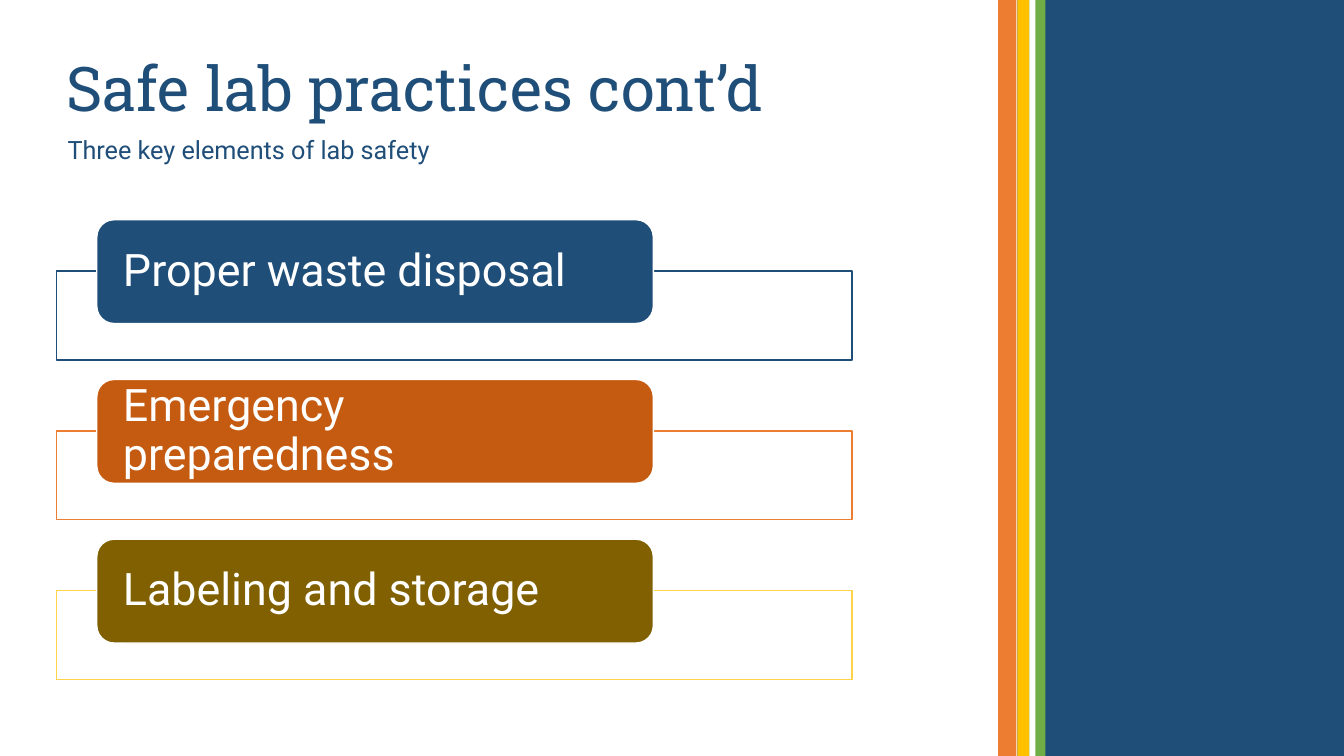
import pptx
import pptx.util
import pptx.dml.color
import pptx.enum.shapes
import pptx.enum.text

# Content
HEAD = "Safe lab practices cont’d"
SUB = "Three key elements of lab safety"
HEX = {
    "navy": "1F4E79", "orange": "ED7D31", "gold": "FFC000", "green": "70AD47",
    "white": "FFFFFF", "rust": "C55A11", "olive": "806000", "yellow": "FFD347",
}
ITEMS = [  # text, label fill, frame line
    ("Proper waste disposal", "navy", "navy"),
    ("Emergency preparedness", "rust", "orange"),
    ("Labeling and storage", "olive", "yellow"),
]
BANDS = [  # left, width, fill
    (10.09, 3.24, "navy"),
    (9.9, 0.18, "orange"),
    (10.09, 0.13, "gold"),
    (10.21, 0.16, "green"),
    (10.21, 0.06, "white"),
]

# Grid, in inches
WIDE, HIGH = 13.33, 7.5
LEFT, TOP, STEP = 0.56, 2.18, 1.585
FRAME = (7.89, 0.88)
LABEL = (5.52, 1.03)
SHIFT, DROP = 0.4, 0.51

KIND = pptx.enum.shapes.MSO_SHAPE
MID = pptx.enum.text.MSO_ANCHOR.MIDDLE
LOW = pptx.enum.text.MSO_ANCHOR.BOTTOM
inch = pptx.util.Inches


def tint(name):
    return pptx.dml.color.RGBColor.from_string(HEX[name])


def draw(kind, box, fill=None, line=None):
    shape = slide.shapes.add_shape(kind, *map(inch, box))
    shape.shadow.inherit = False
    if fill:
        shape.fill.solid()
        shape.fill.fore_color.rgb = tint(fill)
    else:
        shape.fill.background()
    if line:
        shape.line.color.rgb = tint(line)
        shape.line.width = pptx.util.Pt(1)
    else:
        shape.line.fill.background()
    return shape


def write(shape, text, font, size, color, anchor, pad, before=0):
    frame = shape.text_frame
    frame.word_wrap = True
    frame.auto_size = pptx.enum.text.MSO_AUTO_SIZE.NONE
    frame.vertical_anchor = anchor
    (frame.margin_left, frame.margin_top,
     frame.margin_right, frame.margin_bottom) = map(inch, pad)
    para = frame.paragraphs[0]
    para.alignment = pptx.enum.text.PP_ALIGN.LEFT
    para.line_spacing = 0.9
    para.space_before = pptx.util.Pt(before)
    run = para.add_run()
    run.text = text
    run.font.name = font
    run.font.size = pptx.util.Pt(size)
    run.font.bold = False
    run.font.color.rgb = tint(color)


def place(shape, box):
    shape.left, shape.top, shape.width, shape.height = map(inch, box)


deck = pptx.Presentation()
deck.slide_width, deck.slide_height = inch(WIDE), inch(HIGH)
slide = deck.slides.add_slide(deck.slide_layouts[4])

# Title and subtitle, dropping the unused placeholders
title, body, *spare = slide.placeholders
for holder in spare:
    holder.element.getparent().remove(holder.element)
place(title, (LEFT, 0.12, 8.95, 1.17))
write(title, HEAD, "Roboto Slab", 44, "navy", LOW, (0.1, 0.05, 0.1, 0.05))
place(body, (0.57, 1.32, 8.94, 0.42))
write(body, SUB, "Roboto", 18, "navy", MID, (0.1, 0, 0.1, 0.05), 10)

# Side bands
for left, width, fill in BANDS:
    draw(KIND.RECTANGLE, (left, 0, width, HIGH), fill)

# Frames with overlapping labels
for row, (text, fill, line) in enumerate(ITEMS):
    top = TOP + row * STEP
    draw(KIND.RECTANGLE, (LEFT, top + DROP, *FRAME), None, line)
    label = draw(KIND.ROUNDED_RECTANGLE, (LEFT + SHIFT, top, *LABEL), fill, "white")
    write(label, text, "Roboto", 32, "white", MID, (0.21, 0, 0.25, 0))

deck.save("out.pptx")
